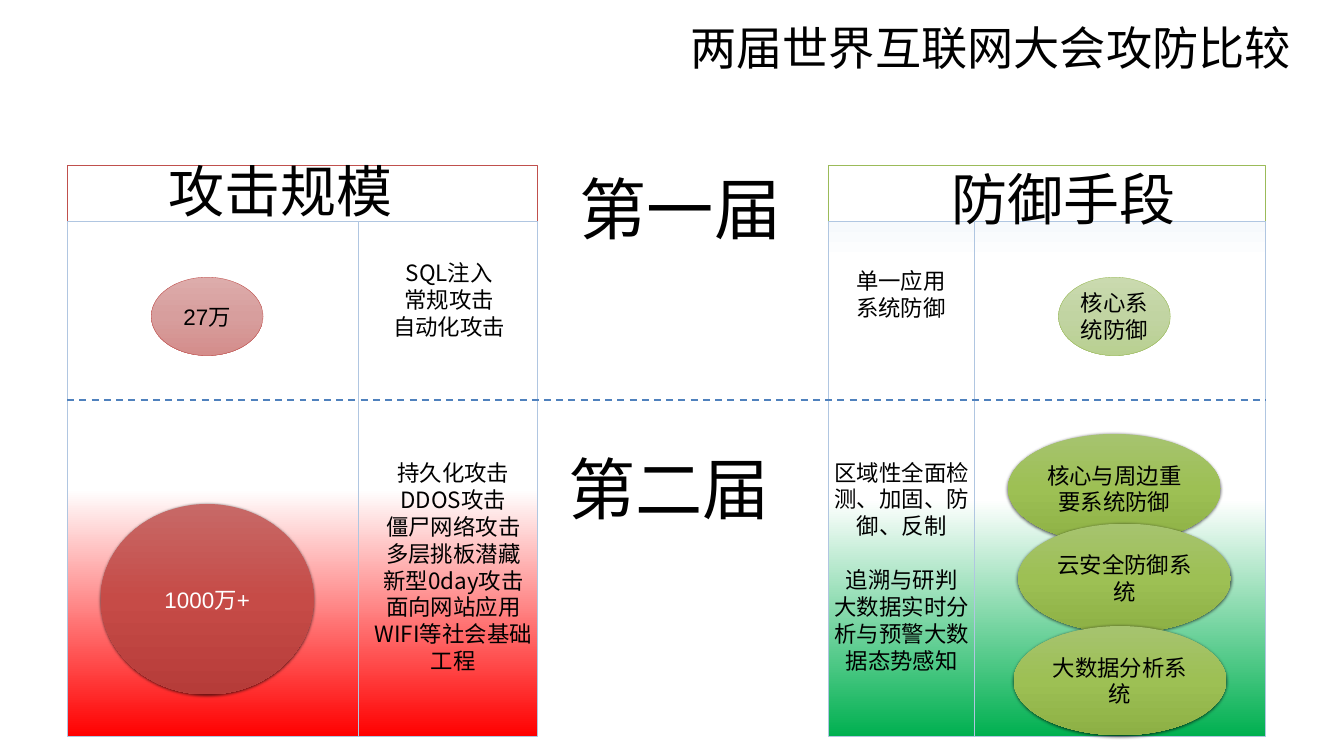
"""Build the slide that compares attack and defence at two conferences."""
from lxml import etree
from pptx import Presentation
from pptx.dml.color import RGBColor
from pptx.enum.dml import MSO_LINE
from pptx.enum.shapes import MSO_CONNECTOR, MSO_SHAPE
from pptx.enum.text import MSO_ANCHOR as ANCHOR, MSO_AUTO_SIZE, PP_ALIGN
from pptx.oxml import parse_xml
from pptx.oxml.ns import nsdecls, qn
from pptx.util import Cm, Pt

COLORS = {
    "black": "000000", "white": "FFFFFF", "red": "C0504D", "green": "9BBB59",
    "blue": "4F81BD", "pale_blue": "B0C6E1",
}
GRADIENTS = {
    "attack": [(0, "FFFFFF"), (52, "FFFFFF"), (100, "FF0000")],
    "defence": [(0, "F6F9FC"), (8, "FFFFFF"), (54, "FFFFFF"), (100, "00B050")],
    "light_red": [(0, "DDACAB"), (50, "D79E9D"), (100, "D48D8B")],
    "dark_red": [(0, "C76967"), (50, "C64B47"), (100, "B63C39")],
    "light_green": [(0, "CADAAF"), (50, "C1D4A2"), (100, "B9D091")],
    "dark_green": [(0, "A6C36F"), (50, "9DC054"), (100, "8DB045")],
}
CJK_FONT = "Noto Sans CJK SC"
SHADOW = (
    f'<a:effectLst {nsdecls("a")}><a:outerShdw blurRad="57150" dist="19050" dir="5400000" '
    'algn="ctr" rotWithShape="0"><a:srgbClr val="000000"><a:alpha val="63000"/>'
    "</a:srgbClr></a:outerShdw></a:effectLst>"
)


def write(shape, text, size=32, font=CJK_FONT, color="black", anchor=ANCHOR.TOP, wrap=True,
          spaced=None):
    """Fill a shape with centred lines; the line numbered spaced gets a gap above it."""
    frame = shape.text_frame
    frame.auto_size = MSO_AUTO_SIZE.NONE
    frame.word_wrap = wrap
    frame.vertical_anchor = anchor
    for number, line in enumerate(text.split("\n")):
        paragraph = frame.add_paragraph() if number else frame.paragraphs[0]
        properties = paragraph._p.get_or_add_pPr()
        properties.set("marL", "0")
        properties.set("indent", "0")
        etree.SubElement(properties, qn("a:buNone"))
        paragraph.alignment = PP_ALIGN.CENTER
        paragraph.space_before = Pt(38 if number and number == spaced else 0)
        run = paragraph.add_run()
        run.text = line
        run.font.name = font
        run.font.size = Pt(size)
        run.font.bold = False
        run.font.color.rgb = RGBColor.from_string(COLORS[color])
        etree.SubElement(run.font._element, qn("a:ea"), typeface=CJK_FONT)


def add_block(kind, box, line=None, width=1, gradient=None):
    """Add a white or gradient shape with an optional outline."""
    shape = slide.shapes.add_shape(kind, *map(Cm, box))
    shape.shadow.inherit = False
    if gradient:
        shape.fill.gradient()
        shape.fill.gradient_angle = 270
        stops = shape.element.spPr.find(qn("a:gradFill")).find(qn("a:gsLst"))
        for stop in list(stops):
            stops.remove(stop)
        for position, value in GRADIENTS[gradient]:
            stop = etree.SubElement(stops, qn("a:gs"), pos=str(position * 1000))
            etree.SubElement(stop, qn("a:srgbClr"), val=value)
    else:
        shape.fill.solid()
        shape.fill.fore_color.rgb = RGBColor.from_string(COLORS["white"])
    if line:
        shape.line.color.rgb = RGBColor.from_string(COLORS[line])
        shape.line.width = Pt(width)
    else:
        shape.line.fill.background()
    return shape


presentation = Presentation()
presentation.slide_width, presentation.slide_height = Cm(67.73), Cm(38.1)
slide = presentation.slides.add_slide(presentation.slide_layouts[4])

left, right, header_top, panel_top = 3.39, 63.78, 8.33, 11.15
panel_width, panel_height = 14.68, 25.96
add_block(MSO_SHAPE.RECTANGLE, (41.77, header_top, 22.01, 2.82), "green")
add_block(MSO_SHAPE.RECTANGLE, (left, header_top, 23.71, 2.82), "red")
for x, gradient in [(12.42, "attack"), (left, "attack"), (41.77, "defence"), (49.1, "defence")]:
    add_block(MSO_SHAPE.RECTANGLE, (x, panel_top, panel_width, panel_height), "pale_blue",
              gradient=gradient)

ELLIPSES = [
    ("27万", (7.62, 13.97, 5.64, 3.95), "light_red", "red", "black"),
    ("1000万+", (5.08, 25.4, 10.72, 9.6), "dark_red", None, "white"),
    ("核心系统防御", (53.34, 13.97, 5.64, 3.95), "light_green", "green", "black"),
    ("核心与周边重要系统防御", (50.8, 21.87, 10.72, 5.5), "dark_green", None, "black"),
    ("云安全防御系统", (51.31, 26.39, 10.72, 5.5), "dark_green", None, "black"),
    ("大数据分析系统", (51.08, 31.55, 10.72, 5.5), "dark_green", None, "black"),
]
for text, box, gradient, line, color in ELLIPSES:
    ellipse = add_block(MSO_SHAPE.OVAL, box, line, 0.5, gradient)
    if not line:
        properties = ellipse.element.spPr
        properties.replace(properties.find(qn("a:effectLst")), parse_xml(SHADOW))
    write(ellipse, text, font="Arial", color=color, anchor=ANCHOR.MIDDLE)

divider = slide.shapes.add_connector(MSO_CONNECTOR.STRAIGHT, Cm(left), Cm(20.17), Cm(right),
                                     Cm(20.17))
divider.line.color.rgb = RGBColor.from_string(COLORS["blue"])
divider.line.width = Pt(2.5)
divider.line.dash_style = MSO_LINE.DASH
etree.SubElement(divider.element.spPr, qn("a:effectLst"))

ATTACKS = "持久化攻击\nDDOS攻击\n僵尸网络攻击\n多层挑板潜藏\n新型0day攻击\n面向网站应用\nWIFI等社会基础工程"
DEFENCES = "区域性全面检测、加固、防御、反制\n追溯与研判\n大数据实时分析与预警大数据态势感知"
PLACEHOLDERS = [
    (0, "两届世界互联网大会攻防比较", (25.65, 0.84, 48.54, 3.07), {"size": 66}),
    (1, "攻击规模", (8.18, 7.77, 11.91, 3.68), {"size": 80, "wrap": False}),
    (2, ATTACKS, (18.62, 23.01, 8.46, 11.2), {}),
    (3, "防御手段", (47.63, 8.18, 11.91, 3.68), {"size": 80, "wrap": False}),
    (4, DEFENCES, (41.77, 22.99, 7.34, 11.2), {"spaced": 1}),
]
holders = {holder.placeholder_format.idx: holder for holder in slide.placeholders}
for index, text, box, style in PLACEHOLDERS:
    holder = holders[index]
    holder.left, holder.top, holder.width, holder.height = map(Cm, box)
    holder.element.getparent().append(holder.element)
    write(holder, text, **style)
title_font = slide.shapes.title.text_frame.paragraphs[0].runs[0].font
title_font._element.find(qn("a:solidFill")).addnext(parse_xml(SHADOW))

TEXT_BOXES = [
    ("第一届", (28.91, 8.33, 10.77, 4.37), {"size": 96, "wrap": False}),
    ("第二届", (28.32, 22.43, 10.77, 4.37), {"size": 96, "wrap": False}),
    ("SQL注入\n常规攻击\n自动化攻击", (19.53, 12.95, 6.22, 4.37), {"wrap": False}),
    ("单一应用系统防御", (42.34, 13.36, 6.12, 3), {}),
]
for text, box, style in TEXT_BOXES:
    write(slide.shapes.add_textbox(*map(Cm, box)), text, **style)

presentation.save("out.pptx")
